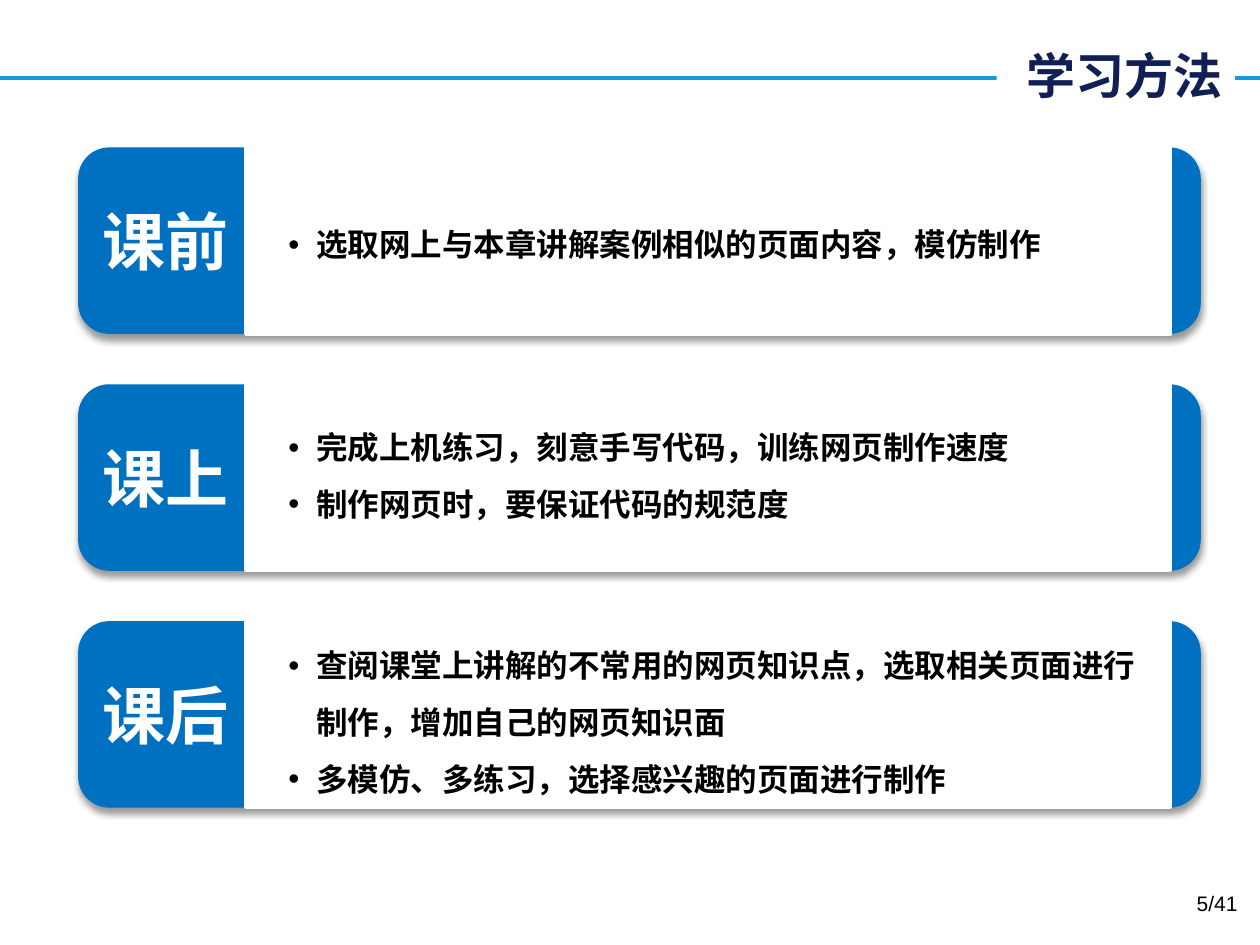
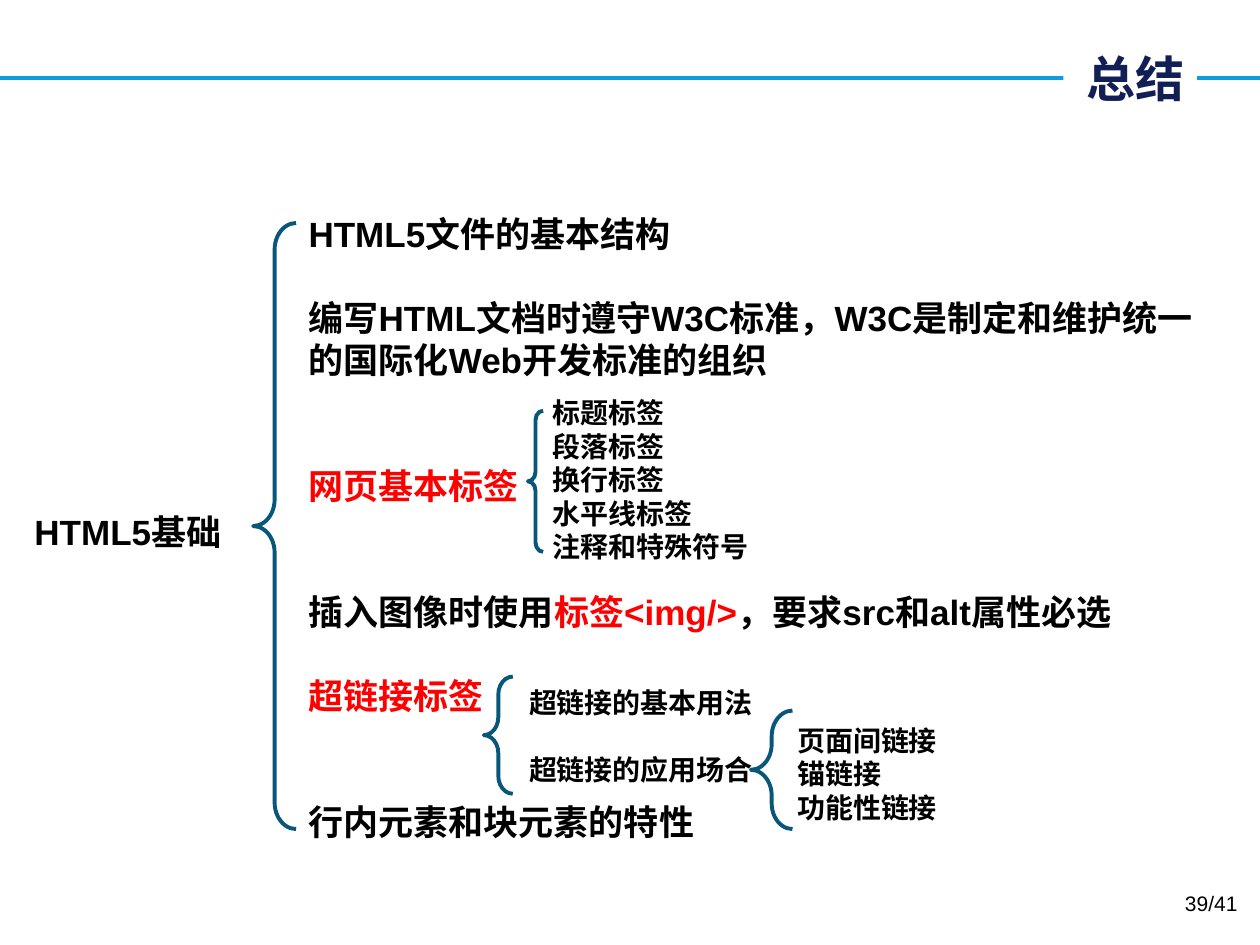
from dataclasses import dataclass

import pptx
import pptx.dml.color
import pptx.enum.shapes
import pptx.enum.text
import pptx.oxml.ns
import pptx.util

Inches = pptx.util.Inches
Pt = pptx.util.Pt
RGBColor = pptx.dml.color.RGBColor
Align = pptx.enum.text.PP_ALIGN
Anchor = pptx.enum.text.MSO_ANCHOR
Shape = pptx.enum.shapes.MSO_SHAPE
qn = pptx.oxml.ns.qn

BLACK = RGBColor(0x00, 0x00, 0x00)
WHITE = RGBColor(0xFF, 0xFF, 0xFF)
RED = RGBColor(0xFF, 0x00, 0x00)
NAVY = RGBColor(0x12, 0x1F, 0x55)
CARD_BLUE = RGBColor(0x00, 0x70, 0xC0)
RULE_BLUE = RGBColor(0x0E, 0x9C, 0xDE)
BRACE_BLUE = RGBColor(0x08, 0x57, 0x7A)
LATIN = "Arial"
CHINESE = "Noto Sans CJK SC"
LINE_HEIGHT = 1.2
TOTAL_PAGES = 41


@dataclass(frozen=True)
class Box:
    left: float
    top: float
    width: float
    height: float

    def lengths(self) -> tuple:
        return tuple(map(Inches, (self.left, self.top, self.width, self.height)))


@dataclass(frozen=True)
class Style:
    size: float
    color: RGBColor = BLACK
    bold: bool = True
    align: Align = Align.LEFT
    font: str = LATIN
    bullet: bool = False


@dataclass(frozen=True)
class Line:
    phrases: tuple[tuple[str, RGBColor], ...]
    skipped: int = 0


@dataclass(frozen=True)
class Phase:
    label: str
    advice: tuple[str, ...]
    advice_top: float
    advice_height: float


@dataclass(frozen=True)
class Brace:
    box: Box
    curve: float = 0.62


TITLE = Style(28, NAVY, align=Align.RIGHT, font=CHINESE)
PAGE_NUMBER = Style(12, bold=False, align=Align.RIGHT)
PHASE_LABEL = Style(36, WHITE, align=Align.CENTER, font=CHINESE)
ADVICE = Style(18, font=CHINESE, bullet=True)
ROOT = Style(20, align=Align.CENTER)
TOPIC = Style(20)
DETAIL = Style(16)

PHASES = (
    Phase("课前", ("选取网上与本章讲解案例相似的页面内容，模仿制作",), 1.59, 0.56),
    Phase("课上", ("完成上机练习，刻意手写代码，训练网页制作速度",
                 "制作网页时，要保证代码的规范度"), 3.2, 0.96),
    Phase("课后", ("查阅课堂上讲解的不常用的网页知识点，选取相关页面进行制作，增加自己的网页知识面",
                 "多模仿、多练习，选择感兴趣的页面进行制作"), 4.93, 1.41),
)
FIRST_PHASE_TOP = 1.17
PHASE_STEP = 1.88

TOPICS = (
    Line((("HTML5文件的基本结构", BLACK),)),
    Line((("编写HTML文档时遵守W3C标准，W3C是制定和维护统一的国际化Web开发标准的组织", BLACK),), 1),
    Line((("网页基本标签", RED),), 2),
    Line((("插入图像时使用", BLACK), ("标签<img/>", RED), ("，要求src和alt属性必选", BLACK)), 2),
    Line((("超链接标签", RED),), 1),
    Line((("行内元素和块元素的特性", BLACK),), 2),
)
BRACES = (
    Brace(Box(2.01, 1.77, 0.34, 4.81)),
    Brace(Box(4.19, 3.26, 0.12, 1.12)),
    Brace(Box(3.84, 5.37, 0.23, 0.93)),
    Brace(Box(5.96, 5.64, 0.33, 0.94)),
)


def plain_lines(*texts: str, color: RGBColor = BLACK, skipped: int = 0) -> tuple[Line, ...]:
    return tuple(Line(((text, color),), skipped if i else 0) for i, text in enumerate(texts))


def add_bullet(paragraph) -> None:
    properties = paragraph._p.get_or_add_pPr()
    properties.set("marL", str(Inches(0.22)))
    properties.set("indent", str(-Inches(0.22)))
    font = properties.makeelement(qn("a:buFont"), {"typeface": LATIN})
    mark = properties.makeelement(qn("a:buChar"), {"char": "•"})
    properties.extend((font, mark))


def format_run(run, style: Style, color: RGBColor) -> None:
    run.font.size = Pt(style.size)
    run.font.bold = style.bold
    run.font.color.rgb = color
    run.font.name = style.font
    properties = run._r.get_or_add_rPr()
    east_asian = properties.makeelement(qn("a:ea"), {"typeface": CHINESE})
    properties.find(qn("a:latin")).addnext(east_asian)


def add_text(slide, box: Box, lines: tuple[Line, ...], style: Style, wrap: bool = True):
    text_box = slide.shapes.add_textbox(*box.lengths())
    frame = text_box.text_frame
    frame.word_wrap = wrap
    for index, line in enumerate(lines):
        paragraph = frame.add_paragraph() if index else frame.paragraphs[0]
        paragraph.alignment = style.align
        if line.skipped:
            paragraph.space_before = Pt(line.skipped * style.size * LINE_HEIGHT)
        if style.bullet:
            paragraph.line_spacing = 1.5
            add_bullet(paragraph)
        for text, color in line.phrases:
            run = paragraph.add_run()
            run.text = text
            format_run(run, style, color)
    return text_box


def add_shadow(shape) -> None:
    effects = shape._element.spPr.find(qn("a:effectLst"))
    shadow = effects.makeelement(qn("a:outerShdw"), {
        "blurRad": str(Pt(4)), "dist": str(Pt(3)), "dir": "5400000", "rotWithShape": "0"})
    color = shadow.makeelement(qn("a:srgbClr"), {"val": str(BLACK)})
    color.append(color.makeelement(qn("a:alpha"), {"val": "40000"}))
    shadow.append(color)
    effects.append(shadow)


def add_framed_slide(deck, title: str, title_box: Box, page: int):
    slide = deck.slides.add_slide(deck.slide_layouts[6])
    rule = slide.shapes.add_connector(
        pptx.enum.shapes.MSO_CONNECTOR.STRAIGHT,
        0, Inches(0.62), deck.slide_width, Inches(0.62))
    rule.line.color.rgb = RULE_BLUE
    rule.line.width = Pt(2.25)
    properties = rule._element.spPr
    properties.append(properties.makeelement(qn("a:effectLst"), {}))

    heading = add_text(slide, title_box, plain_lines(title, color=TITLE.color), TITLE)
    heading.fill.solid()
    heading.fill.fore_color.rgb = WHITE
    heading.text_frame.vertical_anchor = Anchor.MIDDLE
    add_text(slide, Box(7.59, 7.02, 2.33, 0.4),
             plain_lines(f"{page}/{TOTAL_PAGES}"), PAGE_NUMBER)
    return slide


def add_phase(slide, phase: Phase, top: float) -> None:
    group = slide.shapes.add_group_shape()
    card = group.shapes.add_shape(Shape.ROUNDED_RECTANGLE, *Box(0.62, top, 8.91, 1.48).lengths())
    panel = group.shapes.add_shape(Shape.RECTANGLE, *Box(1.95, top, 7.34, 1.48).lengths())
    for surface, color in ((card, CARD_BLUE), (panel, WHITE)):
        surface.shadow.inherit = False
        surface.fill.solid()
        surface.fill.fore_color.rgb = color
    card.line.fill.background()
    add_shadow(card)
    panel.line.color.rgb = WHITE
    panel.line.width = Pt(2)
    add_text(slide, Box(0.71, top + 0.39, 1.21, 0.71),
             plain_lines(phase.label, color=PHASE_LABEL.color), PHASE_LABEL, wrap=False)
    add_text(slide, Box(2.19, phase.advice_top, 6.95, phase.advice_height),
             plain_lines(*phase.advice), ADVICE)


def add_brace(slide, brace: Brace) -> None:
    shape = slide.shapes.add_shape(Shape.LEFT_BRACE, *brace.box.lengths())
    shape.shadow.inherit = False
    shape.fill.background()
    shape.line.color.rgb = BRACE_BLUE
    shape.line.width = Pt(2.25)
    shape.adjustments[0] = brace.curve


def build_methods(deck) -> None:
    slide = add_framed_slide(deck, "学习方法", Box(7.91, 0.31, 1.89, 0.57), 5)
    for index, phase in enumerate(PHASES):
        add_phase(slide, phase, FIRST_PHASE_TOP + index * PHASE_STEP)


def build_summary(deck) -> None:
    slide = add_framed_slide(deck, "总结", Box(8.44, 0.3, 1.06, 0.64), 39)
    add_text(slide, Box(0.02, 4, 1.99, 0.44), plain_lines("HTML5基础"), ROOT)
    add_text(slide, Box(2.35, 1.64, 7.22, 5.15), TOPICS, TOPIC)
    add_text(slide, Box(4.29, 3.09, 2.22, 1.45),
             plain_lines("标题标签", "段落标签", "换行标签", "水平线标签", "注释和特殊符号"), DETAIL)
    add_text(slide, Box(4.1, 5.39, 2.28, 0.91),
             plain_lines("超链接的基本用法", "超链接的应用场合", skipped=1), DETAIL)
    add_text(slide, Box(6.23, 5.69, 2.22, 0.91),
             plain_lines("页面间链接", "锚链接", "功能性链接"), DETAIL)
    for brace in BRACES:
        add_brace(slide, brace)


def main() -> None:
    deck = pptx.Presentation()
    deck.slide_width = Inches(10)
    deck.slide_height = Inches(7.5)
    build_methods(deck)
    build_summary(deck)
    deck.save("out.pptx")


if __name__ == "__main__":
    main()
